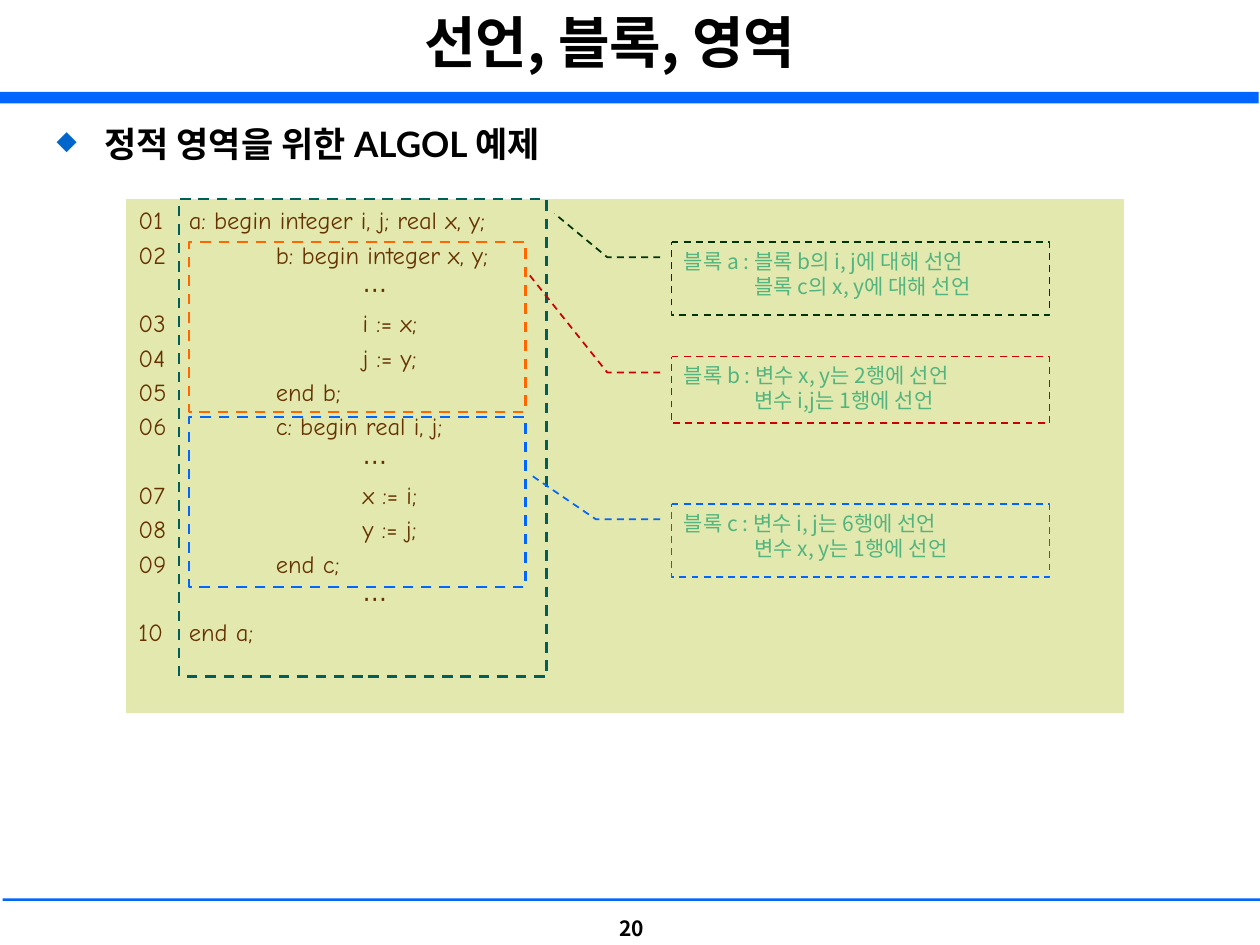
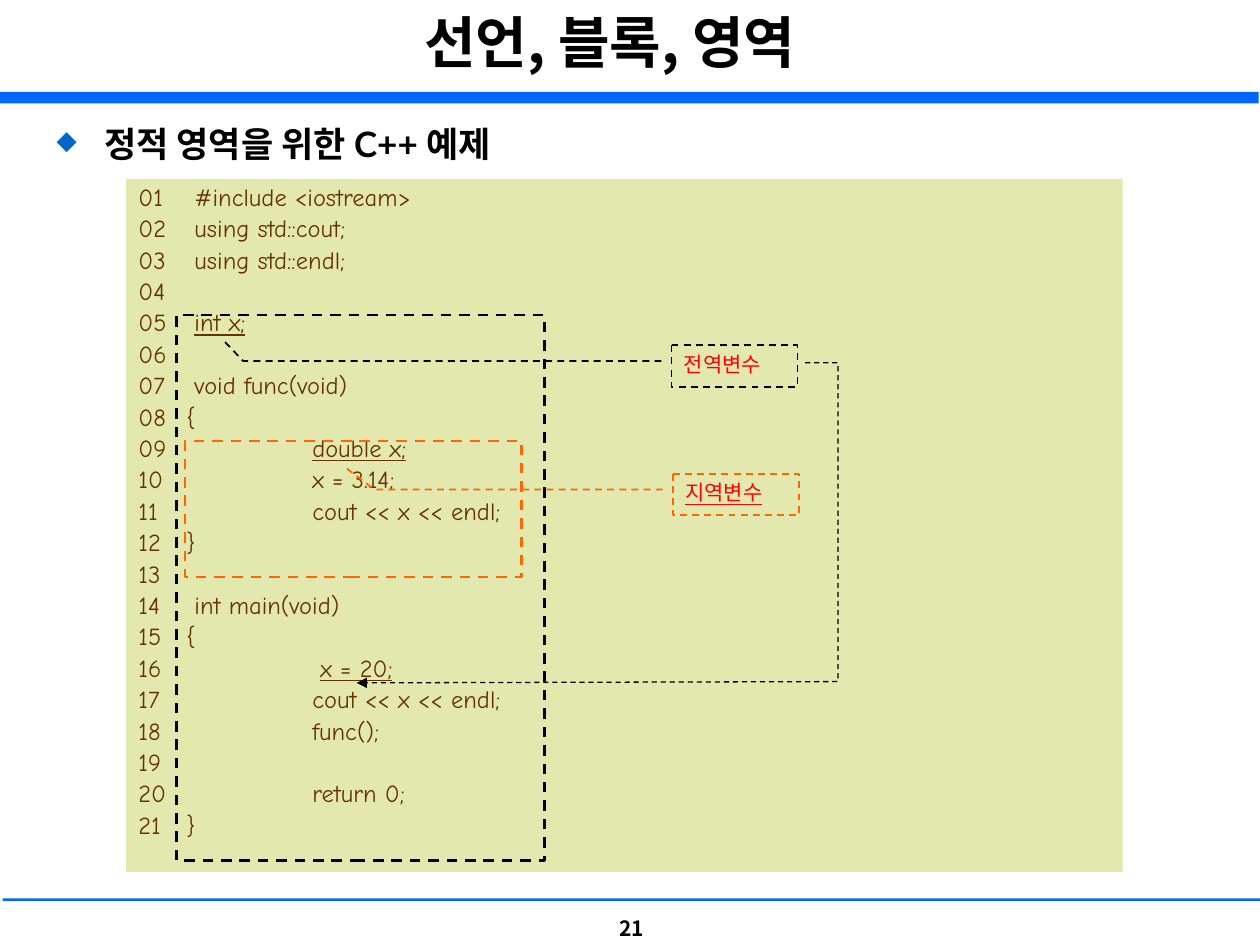
import dataclasses

import pptx
import pptx.dml.color
import pptx.enum.dml
import pptx.enum.shapes
import pptx.enum.text
import pptx.oxml
import pptx.oxml.ns
import pptx.util
from lxml import etree

Inches = pptx.util.Inches
Pt = pptx.util.Pt
SHAPE = pptx.enum.shapes.MSO_SHAPE
ALIGN = pptx.enum.text.PP_ALIGN
ANCHOR = pptx.enum.text.MSO_ANCHOR


@dataclasses.dataclass(frozen=True)
class Theme:
    heading_font: str = "Noto Sans CJK KR"
    body_font: str = "Lato"
    code_font: str = "Comic Neue"
    title_size: int = 32
    body_size: int = 20
    code_size: int = 14
    note_size: int = 12
    black: str = "000000"
    band: str = "0066FF"
    bullet: str = "0066CC"
    panel: str = "E2E8AE"
    code: str = "663300"
    note: str = "52B47E"
    alert: str = "FF0000"
    teal: str = "005E5C"
    orange: str = "FF6600"
    red: str = "CC0000"
    green: str = "003300"


THEME = Theme()


def rgb(value):
    return pptx.dml.color.RGBColor.from_string(value)


def add_xml(parent, tag, **attributes):
    child = etree.SubElement(parent, pptx.oxml.ns.qn(tag))
    for name, value in attributes.items():
        child.set(name, str(value))
    return child


def write_text(frame, text, size, font, color, bold=False, align=ALIGN.LEFT,
               anchor=ANCHOR.TOP, hanging=0, tab=None, space_before=None,
               line_spacing=None, bullet=None, later_indent=0):
    """Fill a frame, one paragraph per line; _words_ are underlined."""
    frame.word_wrap = True
    frame.vertical_anchor = anchor
    for number, line in enumerate(text.split("\n")):
        para = frame.add_paragraph() if number else frame.paragraphs[0]
        para.alignment = align
        properties = para._p.get_or_add_pPr()
        if hanging:
            properties.set("marL", str(Inches(hanging)))
            properties.set("indent", str(-Inches(hanging)))
        elif number and later_indent:
            properties.set("marL", str(Inches(later_indent)))
            properties.set("indent", "0")
        if tab:
            properties.set("defTabSz", str(Inches(tab)))
        if space_before:
            spacing = add_xml(properties, "a:spcBef")
            add_xml(spacing, "a:spcPct", val=space_before * 1000)
        if line_spacing:
            para.line_spacing = line_spacing
        if bullet:
            add_xml(add_xml(properties, "a:buClr"), "a:srgbClr", val=THEME.bullet)
            add_xml(properties, "a:buSzPct", val=75000)
            add_xml(properties, "a:buChar", char=bullet)
        for index, words in enumerate(line.split("_")):
            if not words:
                continue
            span = para.add_run()
            span.text = words
            span.font.size = Pt(size)
            span.font.name = font
            span.font.bold = bold
            span.font.color.rgb = rgb(color)
            if index % 2:
                span.font.underline = True
            add_xml(span._r.get_or_add_rPr(), "a:ea", typeface=THEME.heading_font)


class SlideBuilder:
    def __init__(self, deck, theme):
        self.deck = deck
        self.theme = theme
        self.page = None

    def start(self, heading, number):
        """Open a page with the title, bands and footer all pages share."""
        theme = self.theme
        self.page = self.deck.slides.add_slide(self.deck.slide_layouts[6])
        self.text((4.59, 7.17, 0.85, 0.39), str(number), size=theme.note_size,
                  font=theme.heading_font, color=theme.black, bold=True,
                  align=ALIGN.CENTER, anchor=ANCHOR.MIDDLE)
        self.rectangle((0, 0.73, 9.99, 0.09), fill=theme.band)
        self.rectangle((0.02, 7.13, 9.99, 0.02), fill=theme.band)
        self.text((0.34, 0.01, 9, 0.78), "선언, 블록, 영역", size=theme.title_size,
                  font=theme.heading_font, color=theme.black, bold=True,
                  align=ALIGN.CENTER)
        self.text((0.35, 0.92, 9.21, 6.14), heading, size=theme.body_size,
                  font=theme.body_font, color=theme.black, bold=True,
                  hanging=0.38, space_before=20, bullet="◆")

    def text(self, place, text, **style):
        box = self.page.shapes.add_textbox(*map(Inches, place))
        write_text(box.text_frame, text, **style)

    def finish(self, shape, fill=None, line=None, weight=1.5):
        shape.shadow.inherit = False
        if fill:
            shape.fill.solid()
            shape.fill.fore_color.rgb = rgb(fill)
        else:
            shape.fill.background()
        if line:
            shape.line.color.rgb = rgb(line)
            shape.line.width = Pt(weight)
            shape.line.dash_style = pptx.enum.dml.MSO_LINE.DASH
        else:
            shape.line.fill.background()

    def rectangle(self, place, **look):
        shape = self.page.shapes.add_shape(SHAPE.RECTANGLE, *map(Inches, place))
        self.finish(shape, **look)
        return shape

    def code_panel(self, place, code, **style):
        panel = self.rectangle(place, fill=self.theme.panel)
        write_text(panel.text_frame, code, size=self.theme.code_size,
                   font=self.theme.code_font, color=self.theme.code,
                   space_before=20, **style)

    def callout(self, place, leader, text, line, color):
        """Leader holds three (y, x) points as fractions of the box."""
        shape = self.page.shapes.add_shape(SHAPE.LINE_CALLOUT_2, *map(Inches, place))
        for index, value in enumerate(sum(leader, ())):
            shape.adjustments[index] = value
        self.finish(shape, line=line, weight=1)
        write_text(shape.text_frame, text, size=self.theme.note_size,
                   font=self.theme.heading_font, color=color, later_indent=0.56)

    def arrow_path(self, points, line):
        corners = [(Inches(x), Inches(y)) for x, y in points]
        builder = self.page.shapes.build_freeform(*corners[0])
        builder.add_line_segments(corners[1:], close=False)
        shape = builder.convert_to_shape()
        self.finish(shape, line=line, weight=0)
        add_xml(shape.line._get_or_add_ln(), "a:tailEnd", type="triangle")


ALGOL_CODE = """01\ta: begin integer i, j; real x, y;
02\t\tb: begin integer x, y;
\t\t\t⋯
03 \t\t\ti := x;
04 \t\t\tj := y;
05 \t\tend b;
06 \t\tc: begin real i, j;
\t\t\t⋯
07 \t\t\tx := i;
08 \t\t\ty := j;
09 \t\tend c;
\t\t\t⋯
10 \tend a;"""

CPP_CODE = """01\t #include <iostream>
02\t using std::cout;
03\t using std::endl;
04
05\t _int x;_
06
07\t void func(void)
08 \t{
09 \t\t_double x;_
10 \t\tx = 3.14;
11 \t\tcout << x << endl;
12 \t}
13
14\t int main(void)
15 \t{
16\t\t _x = 20;_
17 \t\tcout << x << endl;
18 \t\tfunc();
19
20 \t\treturn 0;
21 \t}"""


def algol_slide(slide):
    theme = slide.theme
    slide.start("정적 영역을 위한 ALGOL 예제", 20)
    slide.code_panel((1, 1.58, 7.92, 4.08), ALGOL_CODE, hanging=0.4, tab=0.69)

    # Outlines of blocks a, b and c
    slide.rectangle((1.42, 1.58, 2.92, 3.79), line=theme.teal)
    for top, color in ((1.92, theme.orange), (3.31, theme.band)):
        slide.rectangle((1.5, top, 2.67, 1.35), line=color)

    # What each block declares
    notes = (
        (1.92, 0.58, ((0.21, -0.03), (0.21, -0.17), (-0.39, -0.31)), theme.green,
         "블록 a : 블록 b의 i, j에 대해 선언\n블록 c의 x, y에 대해 선언"),
        (2.83, 0.53, ((0.24, -0.03), (0.24, -0.17), (-1.25, -0.38)), theme.red,
         "블록 b : 변수 x, y는 2행에 선언\n변수 i,j는 1행에 선언"),
        (4, 0.58, ((0.21, -0.03), (0.21, -0.2), (-0.39, -0.37)), theme.band,
         "블록 c : 변수 i, j는 6행에 선언\n변수 x, y는 1행에 선언"),
    )
    for top, height, leader, color, text in notes:
        slide.callout((5.33, top, 3, height), leader, text, color, theme.note)


def cpp_slide(slide):
    theme = slide.theme
    slide.start("정적 영역을 위한 C++ 예제", 21)
    slide.code_panel((1, 1.42, 7.91, 5.5), CPP_CODE, hanging=0.38, tab=1,
                     line_spacing=0.9)

    # Global and local scope
    slide.rectangle((1.4, 2.5, 2.92, 4.33), line=theme.black)
    slide.rectangle((1.47, 3.5, 2.67, 1.08), line=theme.orange)
    slide.callout((5.34, 3.76, 1, 0.33),
                  ((0.38, -0.08), (0.38, -2.37), (-0.13, -2.59)),
                  "_지역변수_", theme.orange, theme.alert)
    slide.callout((5.33, 2.74, 1, 0.33),
                  ((0.38, -0.08), (0.38, -3.4), (-0.13, -3.56)),
                  "전역변수", theme.black, theme.alert)

    # From the global variable to its use in main
    slide.arrow_path([(6.39, 2.88), (6.65, 2.88), (6.65, 5.41), (2.83, 5.42)],
                     line=theme.black)


def main():
    deck = pptx.Presentation()
    deck.slide_width = Inches(10)
    deck.slide_height = Inches(7.5)
    slide = SlideBuilder(deck, THEME)
    algol_slide(slide)
    cpp_slide(slide)
    deck.save("out.pptx")


if __name__ == "__main__":
    main()
